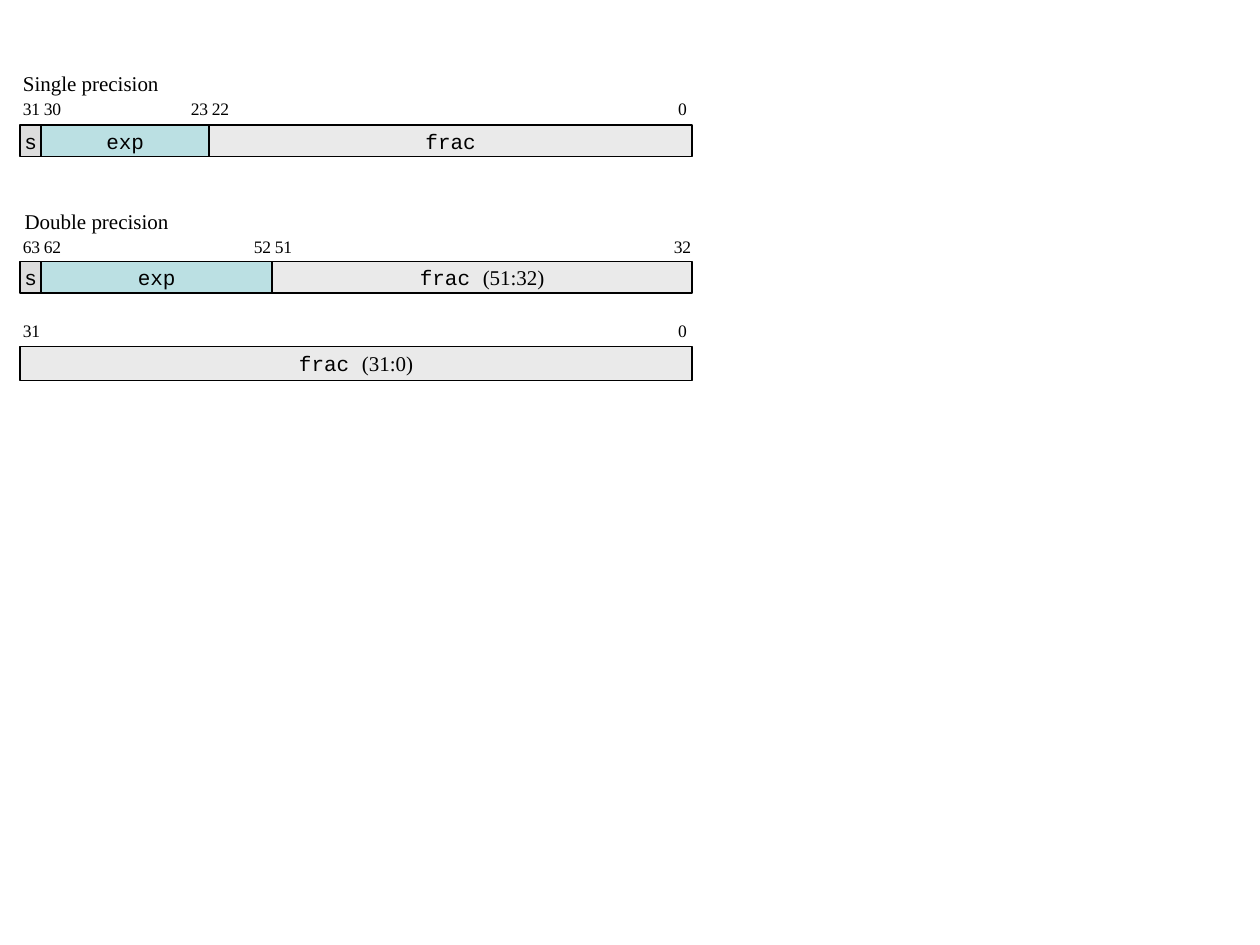
from dataclasses import dataclass

from pptx import Presentation
from pptx.dml.color import RGBColor
from pptx.enum.shapes import MSO_SHAPE
from pptx.enum.text import MSO_ANCHOR, MSO_AUTO_SIZE, PP_ALIGN
from pptx.util import Pt

BLACK = RGBColor(0x00, 0x00, 0x00)
SIGN_GREY = RGBColor(0xDD, 0xDD, 0xDD)
EXPONENT_BLUE = RGBColor(0xBB, 0xE0, 0xE3)
FRACTION_GREY = RGBColor(0xEA, 0xEA, 0xEA)
SERIF, MONO = "Times New Roman", "Courier New"

# Grid, in points: the word is 32 units wide
UNIT = 12
WORD_LEFT = 11.5
LABEL_LEFT = 12
LABEL_HEIGHT = 18


@dataclass(frozen=True)
class Field:
    name: str
    units: int
    fill: RGBColor
    bits: str = ""


@dataclass(frozen=True)
class Word:
    label_top: float
    bar_top: float
    bar_height: float
    labels: dict[int, str]  # grid column -> bit number
    fields: list[Field]


@dataclass(frozen=True)
class Heading:
    text: str
    left: float
    top: float
    width: float


SIGN = Field("s", 1, SIGN_GREY)

HEADINGS = [
    Heading("Single precision", 6, 36.5, 92),
    Heading("Double precision", 7, 115.5, 97),
]

WORDS = [
    Word(52.75, 71.5, 18, {0: "31", 1: "30", 8: "23", 9: "22", 31: "0"},
         [SIGN, Field("exp", 8, EXPONENT_BLUE), Field("frac", 23, FRACTION_GREY)]),
    Word(131.75, 149.5, 18, {0: "63", 1: "62", 11: "52", 12: "51", 31: "32"},
         [SIGN, Field("exp", 11, EXPONENT_BLUE),
          Field("frac ", 20, FRACTION_GREY, "(51:32)")]),
    Word(180, 198, 19.5, {0: "31", 31: "0"},
         [Field("frac ", 32, FRACTION_GREY, "(31:0)")]),
]


def add_heading(page, heading: Heading) -> None:
    box = page.shapes.add_textbox(
        Pt(heading.left), Pt(heading.top), Pt(heading.width), Pt(21.5))
    box.text_frame.word_wrap = False
    box.text_frame.auto_size = MSO_AUTO_SIZE.SHAPE_TO_FIT_TEXT
    para = box.text_frame.paragraphs[0]
    para.text = heading.text
    set_font(para.font, SERIF, 12)


def set_font(font, name: str, size: float) -> None:
    font.name = name
    font.size = Pt(size)
    font.color.rgb = BLACK


def centre_text(shape):
    """Centre the text of a shape, without insets, and return its paragraph."""
    frame = shape.text_frame
    frame.word_wrap = False
    frame.margin_left = frame.margin_right = 0
    frame.margin_top = frame.margin_bottom = 0
    frame.vertical_anchor = MSO_ANCHOR.MIDDLE
    frame.paragraphs[0].alignment = PP_ALIGN.CENTER
    return frame.paragraphs[0]


def add_bit_label(page, column: int, top: float, text: str) -> None:
    box = page.shapes.add_textbox(
        Pt(LABEL_LEFT + column * UNIT), Pt(top), Pt(UNIT), Pt(LABEL_HEIGHT))
    para = centre_text(box)
    para.text = text
    set_font(para.font, SERIF, 10)


def add_field(shapes, field: Field, left: float, word: Word) -> None:
    bar = shapes.add_shape(
        MSO_SHAPE.RECTANGLE, Pt(left), Pt(word.bar_top),
        Pt(field.units * UNIT), Pt(word.bar_height))
    bar.shadow.inherit = False
    bar.fill.solid()
    bar.fill.fore_color.rgb = field.fill
    bar.line.color.rgb = BLACK
    bar.line.width = Pt(0.75)
    para = centre_text(bar)
    for text, font_name in ((field.name, MONO), (field.bits, SERIF)):
        if text:
            span = para.add_run()
            span.text = text
            set_font(span.font, font_name, 12)


def add_word(page, word: Word) -> None:
    for column, text in word.labels.items():
        add_bit_label(page, column, word.label_top, text)
    # Fields of one word stay together in a group
    several = len(word.fields) > 1
    shapes = page.shapes.add_group_shape().shapes if several else page.shapes
    left = WORD_LEFT
    for field in word.fields:
        add_field(shapes, field, left, word)
        left += field.units * UNIT


def main() -> None:
    deck = Presentation()
    deck.slide_width, deck.slide_height = Pt(720), Pt(540)
    page = deck.slides.add_slide(deck.slide_layouts[6])
    for heading in HEADINGS:
        add_heading(page, heading)
    for word in WORDS:
        add_word(page, word)
    deck.save("out.pptx")


if __name__ == "__main__":
    main()
